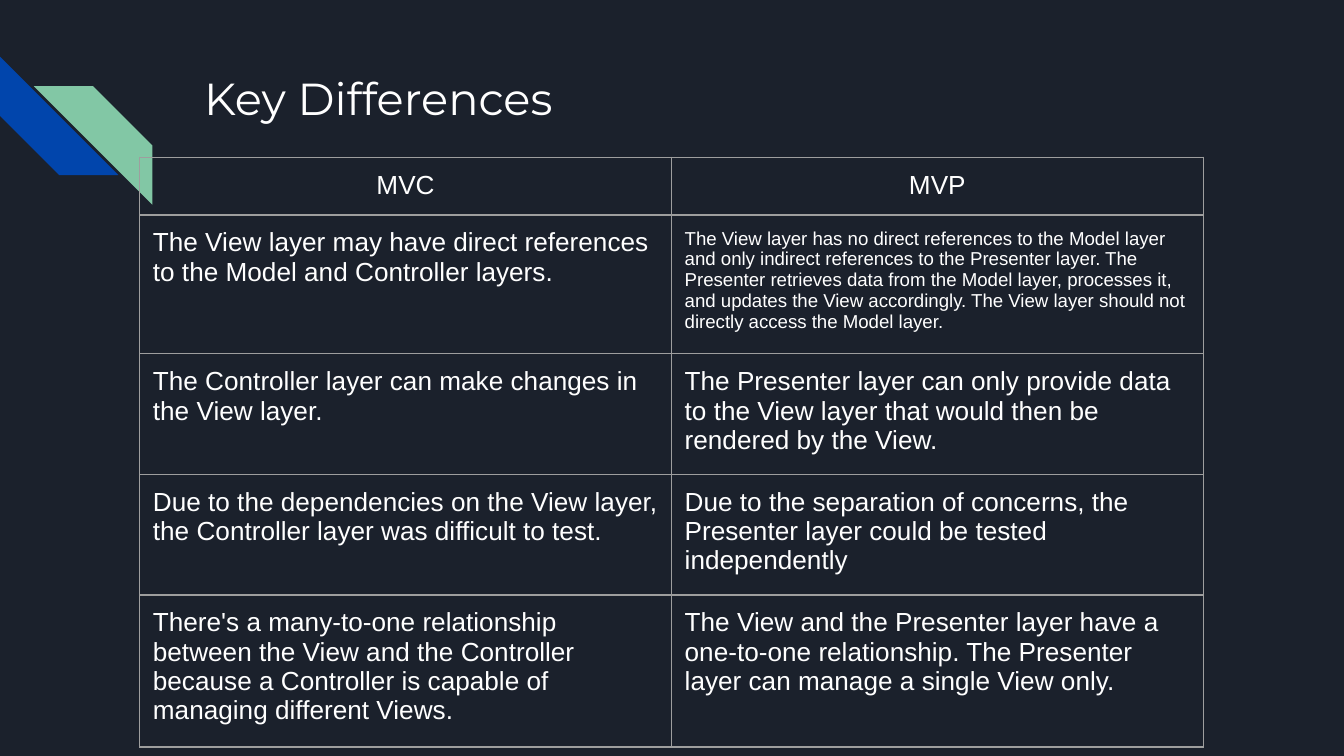
from lxml.etree import SubElement
from pptx import Presentation
from pptx.dml.color import RGBColor
from pptx.enum.shapes import MSO_SHAPE as Shape
from pptx.enum.text import PP_ALIGN as Align
from pptx.oxml.ns import qn
from pptx.util import Cm, Pt

NAVY = RGBColor(0x1B, 0x21, 0x2C)
BLUE = RGBColor(0x01, 0x45, 0xAC)
GREEN = RGBColor(0x82, 0xC7, 0xA5)
WHITE = RGBColor(0xFF, 0xFF, 0xFF)
GRAY = RGBColor(0x9E, 0x9E, 0x9E)

STRIPE_SIZE = Cm(2.24)
INSET = Cm(0.25)
COLUMN_WIDTH = Cm(10.05)
ROW_HEIGHT = Cm(1.06)
BODY_SIZE = 14
SMALL_SIZE = 10

HEADERS = ("MVC", "MVP")
DIFFERENCES = [
    ("The View layer may have direct references to the Model and Controller layers.",
     "The View layer has no direct references to the Model layer and only indirect "
     "references to the Presenter layer. The Presenter retrieves data from the Model "
     "layer, processes it, and updates the View accordingly. The View layer should not "
     "directly access the Model layer."),
    ("The Controller layer can make changes in the View layer.",
     "The Presenter layer can only provide data to the View layer that would then be "
     "rendered by the View."),
    ("Due to the dependencies on the View layer, the Controller layer was difficult to test.",
     "Due to the separation of concerns, the Presenter layer could be tested independently"),
    ("There's a many-to-one relationship between the View and the Controller because a "
     "Controller is capable of managing different Views.",
     "The View and the Presenter layer have a one-to-one relationship. The Presenter "
     "layer can manage a single View only."),
]
SMALL_CELL = (1, 1)


def set_background(slide, color):
    fill = slide.background.fill
    fill.solid()
    fill.fore_color.rgb = color


def add_stripe(slide, left, top, rotation, color):
    shape = slide.shapes.add_shape(Shape.DIAGONAL_STRIPE, left, top, STRIPE_SIZE, STRIPE_SIZE)
    shape.shadow.inherit = False
    shape.rotation = rotation
    shape.fill.solid()
    shape.fill.fore_color.rgb = color
    shape.line.fill.background()


def add_run(paragraph, text, size, font_name):
    run = paragraph.add_run()
    run.text = text
    run.font.size = Pt(size)
    run.font.name = font_name
    run.font.bold = False
    run.font.color.rgb = WHITE


def set_margins(box):
    box.margin_left = box.margin_right = INSET
    box.margin_top = box.margin_bottom = INSET


def add_title(slide, text):
    frame = slide.shapes.add_textbox(Cm(3.61), Cm(1.09), Cm(19.56), Cm(2.54)).text_frame
    frame.word_wrap = True
    set_margins(frame)
    add_run(frame.paragraphs[0], text, 24, "Montserrat")


def set_borders(cell):
    properties = cell._tc.get_or_add_tcPr()
    for side in ("a:lnL", "a:lnR", "a:lnT", "a:lnB"):
        line = SubElement(properties, qn(side), w=str(Pt(0.75)))
        fill = SubElement(line, qn("a:solidFill"))
        SubElement(fill, qn("a:srgbClr"), val=str(GRAY))


def fill_cell(cell, text, size, alignment):
    set_margins(cell)
    set_borders(cell)
    cell.fill.background()
    paragraph = cell.text_frame.paragraphs[0]
    paragraph.alignment = alignment
    add_run(paragraph, text, size, "Arial")


def add_comparison(slide, rows):
    count = len(rows)
    table = slide.shapes.add_table(count, 2, Cm(2.64), Cm(2.97),
                                   COLUMN_WIDTH * 2, ROW_HEIGHT * count).table
    table.first_row = table.horz_banding = False
    for row_index, texts in enumerate(rows):
        alignment = Align.CENTER if row_index == 0 else Align.LEFT
        for column_index, text in enumerate(texts):
            position = (row_index, column_index)
            size = SMALL_SIZE if position == SMALL_CELL else BODY_SIZE
            fill_cell(table.cell(*position), text, size, alignment)


def main():
    presentation = Presentation()
    presentation.slide_width = Cm(25.4)
    presentation.slide_height = Cm(14.29)
    slide = presentation.slides.add_slide(presentation.slide_layouts[6])
    set_background(slide, NAVY)
    add_stripe(slide, Cm(0), Cm(1.07), 270, BLUE)
    add_stripe(slide, Cm(0.64), Cm(1.63), 90, GREEN)
    add_title(slide, "Key Differences")
    add_comparison(slide, [HEADERS, *DIFFERENCES])
    presentation.save("out.pptx")


if __name__ == "__main__":
    main()
